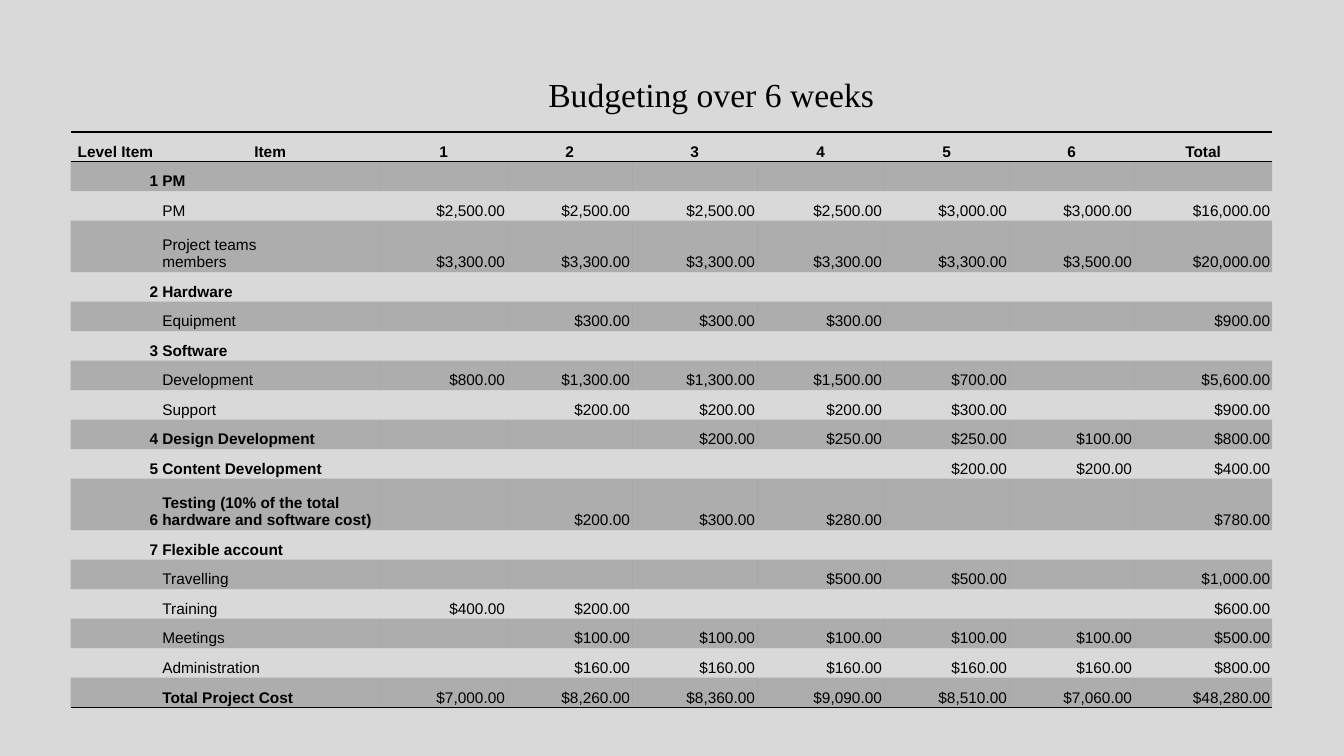
from dataclasses import dataclass

from lxml.etree import SubElement
from pptx import Presentation
from pptx.dml.color import RGBColor
from pptx.enum.text import MSO_ANCHOR as Anchor, PP_ALIGN as Align
from pptx.oxml import parse_xml
from pptx.oxml.ns import nsdecls, qn
from pptx.table import _Cell as Cell
from pptx.util import Inches, Pt

COLORS = {"background": "D9D9D9", "ink": "000000"}
WEEKS = 6
COLUMN_WIDTHS = [0.89, 2.18, 1.26, 1.24, 1.24, 1.26, 1.24, 1.24, 1.37]
TABLE_HEIGHT = 5.71
TALL_ROW = 0.51
NO_STYLE = "{2D5ABB26-0587-4C30-8999-92F81FD0307C}"


@dataclass
class BudgetLine:
    item: str
    costs: tuple[int, ...] = (0,) * WEEKS
    level: str = ""
    bold: bool = False
    tall: bool = False


LINES = [
    BudgetLine("PM", level="1", bold=True),
    BudgetLine("PM", (2500, 2500, 2500, 2500, 3000, 3000)),
    BudgetLine("Project teams\vmembers", (3300, 3300, 3300, 3300, 3300, 3500), tall=True),
    BudgetLine("Hardware", level="2", bold=True),
    BudgetLine("Equipment", (0, 300, 300, 300, 0, 0)),
    BudgetLine("Software", level="3", bold=True),
    BudgetLine("Development", (800, 1300, 1300, 1500, 700, 0)),
    BudgetLine("Support", (0, 200, 200, 200, 300, 0)),
    BudgetLine("Design Development", (0, 0, 200, 250, 250, 100), "4", True),
    BudgetLine("Content Development", (0, 0, 0, 0, 200, 200), "5", True),
    BudgetLine("Testing (10% of the total hardware and software cost)",
               (0, 200, 300, 280, 0, 0), "6", True, True),
    BudgetLine("Flexible account", level="7", bold=True),
    BudgetLine("Travelling", (0, 0, 0, 500, 500, 0)),
    BudgetLine("Training", (400, 200, 0, 0, 0, 0)),
    BudgetLine("Meetings", (0, 100, 100, 100, 100, 100)),
    BudgetLine("Administration", (0, 160, 160, 160, 160, 160)),
]
WEEK_TOTALS = tuple(sum(week) for week in zip(*(line.costs for line in LINES)))
LINES.append(BudgetLine("Total Project Cost", WEEK_TOTALS, bold=True))


def money(amount: int) -> str:
    return f"${amount:,.2f}" if amount else ""


def write_cell(cell: Cell, text: str, align: Align, bold: bool) -> None:
    cell.margin_left = cell.margin_right = Inches(0.02)
    cell.margin_top = cell.margin_bottom = Inches(0.01)
    cell.vertical_anchor = Anchor.BOTTOM
    cell.text_frame.text = text
    p = cell.text_frame.paragraphs[0]
    p.alignment = align
    for r in p.runs:
        r.font.name, r.font.size, r.font.bold = "Arial", Pt(11), bold
        r.font.color.rgb = RGBColor.from_string(COLORS["ink"])
    if not text:
        SubElement(p._p, qn("a:endParaRPr"), sz="1100")


def fill_cell(cell: Cell, shaded: bool) -> None:
    if not shaded:
        cell.fill.background()
        return
    cell.fill.solid()
    cell.fill.fore_color.rgb = RGBColor.from_string(COLORS["ink"])
    color = cell._tc.tcPr.find(".//" + qn("a:srgbClr"))
    SubElement(color, qn("a:alpha"), val="20000")


def rule_cell(cell: Cell, sides: str) -> None:
    for i, side in enumerate(sides):
        cell._tc.tcPr.insert(i, parse_xml(
            f'<a:ln{side} {nsdecls("a")} w="{Pt(1)}"><a:solidFill>'
            f'<a:srgbClr val="{COLORS["ink"]}"/></a:solidFill></a:ln{side}>'))


def main() -> None:
    prs = Presentation()
    prs.slide_width, prs.slide_height = Inches(13.33), Inches(7.5)
    s = prs.slides.add_slide(prs.slide_layouts[6])
    s.background.fill.solid()
    s.background.fill.fore_color.rgb = RGBColor.from_string(COLORS["background"])

    header = ["Level Item", "Item", *map(str, range(1, WEEKS + 1)), "Total"]
    rows = [header] + [
        [line.level, line.item, *map(money, line.costs), money(sum(line.costs))]
        for line in LINES]
    frame = s.shapes.add_table(len(rows), len(header), Inches(0.7), Inches(1.31),
                               Inches(sum(COLUMN_WIDTHS)), Inches(TABLE_HEIGHT))
    table = frame.table
    table.first_row = table.horz_banding = False
    table._tbl.tblPr.find(qn("a:tableStyleId")).text = NO_STYLE
    for column, width in zip(table.columns, COLUMN_WIDTHS):
        column.width = Inches(width)

    tall_count = sum(line.tall for line in LINES)
    short_row = (TABLE_HEIGHT - tall_count * TALL_ROW) / (len(rows) - tall_count)
    last = len(rows) - 1
    for i, texts in enumerate(rows):
        line = LINES[i - 1] if i else None
        table.rows[i].height = Inches(TALL_ROW if line and line.tall else short_row)
        for j, text in enumerate(texts):
            cell = table.cell(i, j)
            align = Align.CENTER if line is None else Align.LEFT if j == 1 else Align.RIGHT
            write_cell(cell, text, align, line is None or (line.bold and j < 2))
            fill_cell(cell, i % 2 == 1)
            rule_cell(cell, "TB" if i == 0 else "B" if i == last else "")

    title = s.shapes.add_textbox(Inches(5.34), Inches(0.68), Inches(3.46), Inches(0.5))
    tf = title.text_frame
    tf.word_wrap = True
    tf.text = "Budgeting over 6 weeks"
    font = tf.paragraphs[0].runs[0].font
    font.name, font.size = "Times New Roman", Pt(24)
    font.color.rgb = RGBColor.from_string(COLORS["ink"])

    prs.save("out.pptx")


if __name__ == "__main__":
    main()
